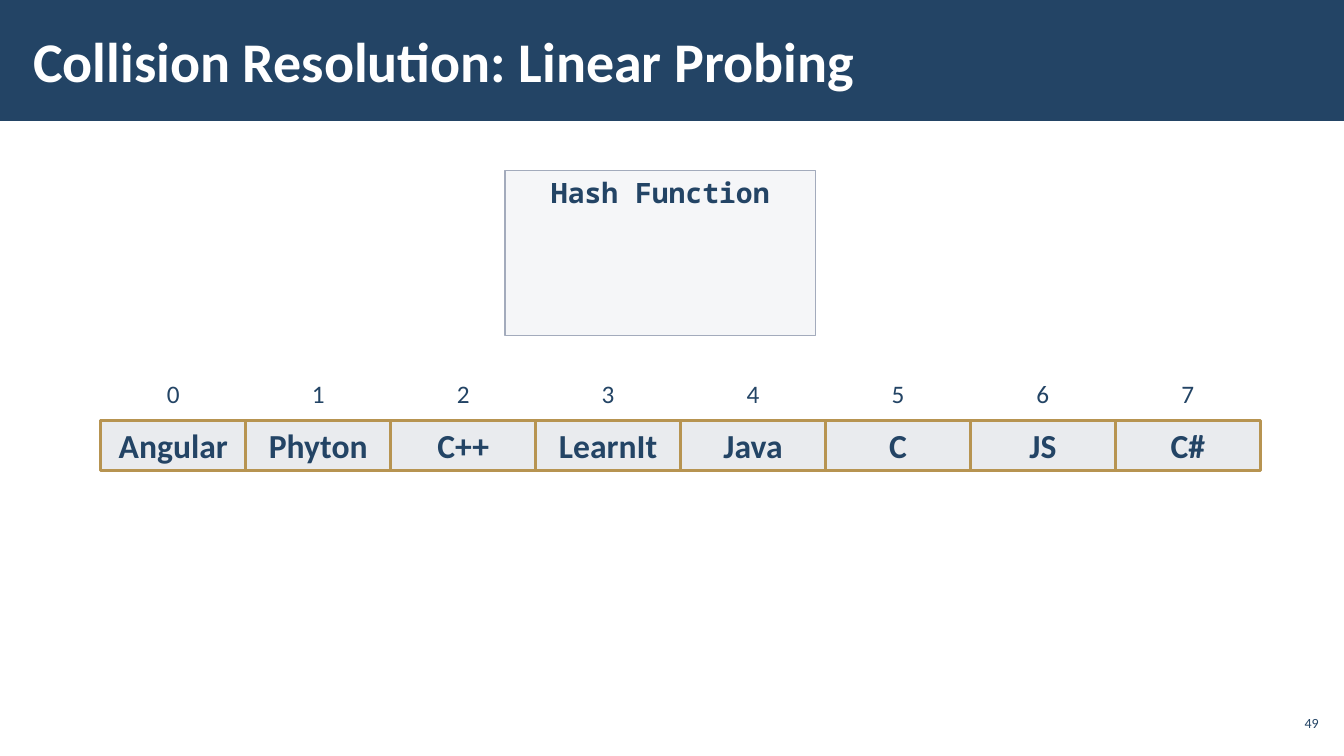
from dataclasses import dataclass

from lxml import etree
from pptx import Presentation
from pptx import util as u
from pptx.dml import color
from pptx.enum import shapes, text
from pptx.oxml import ns


@dataclass(frozen=True)
class Theme:
    navy: str = "234465"
    white: str = "FFFFFF"
    gold: str = "B79451"
    slot: str = "E9EBEE"
    panel: str = "C2C7D2"
    panel_line: str = "A3ABBC"
    body: str = "Calibri"
    mono: str = "Noto Sans Mono"
    title_size: int = 40
    slot_size: int = 24
    panel_size: int = 20
    index_size: int = 18
    number_size: int = 10


T = Theme()
LANGUAGES = ["Angular", "Phyton", "C++", "LearnIt", "Java", "C", "JS", "C#"]


def rgb(value):
    return color.RGBColor.from_string(value)


def inches(*lengths):
    return [u.Inches(length) for length in lengths]


def write(tf, content, size, ink=T.navy, font=T.body, bold=False,
          align=text.PP_ALIGN.CENTER):
    p = tf.paragraphs[0]
    p.alignment = align
    r = p.add_run()
    r.text = content
    r.font.size = u.Pt(size)
    r.font.name = font
    r.font.bold = bold
    r.font.color.rgb = rgb(ink)


def set_frame(tf, anchor=text.MSO_ANCHOR.MIDDLE, margins=(0.1, 0.05)):
    tf.word_wrap = True
    tf.auto_size = text.MSO_AUTO_SIZE.NONE
    tf.vertical_anchor = anchor
    side, edge = inches(*margins)
    tf.margin_left = tf.margin_right = side
    tf.margin_top = tf.margin_bottom = edge
    return tf


def add_box(parent, kind, box, fill, line=None, width=1):
    sp = parent.add_shape(kind, *inches(*box))
    sp.shadow.inherit = False
    sp.fill.solid()
    sp.fill.fore_color.rgb = rgb(fill)
    if line:
        sp.line.color.rgb = rgb(line)
        sp.line.width = u.Pt(width)
    else:
        sp.line.fill.background()
    return sp


def add_header(s, box, title):
    x, y, w, h = box
    band = add_box(s.shapes, shapes.MSO_SHAPE.RECTANGLE, box, T.navy)
    sp = s.shapes.title
    sp.element.addprevious(band.element)
    sp.left, sp.top, sp.width, sp.height = inches(x + 0.21, y + 0.11, 10.4, h - 0.23)
    write(set_frame(sp.text_frame, margins=(0.12, 0.04)), title, T.title_size,
          ink=T.white, bold=True, align=text.PP_ALIGN.LEFT)


def add_hash_function(s, box):
    x, y, w, h = box
    group = s.shapes.add_group_shape()
    panel = add_box(group.shapes, shapes.MSO_SHAPE.RECTANGLE, box, T.panel, T.panel_line)
    tint = panel.element.spPr.find(ns.qn("a:solidFill"))[0]
    etree.SubElement(tint, ns.qn("a:alpha"), val="15000")
    label = group.shapes.add_textbox(*inches(x, y, w, 0.44))
    write(set_frame(label.text_frame, anchor=text.MSO_ANCHOR.TOP), "Hash Function",
          T.panel_size, font=T.mono, bold=True)


def outline_cell(cell):
    tc_pr = cell._tc.get_or_add_tcPr()
    for position, side in enumerate(("lnL", "lnR", "lnT", "lnB")):
        ln = etree.Element(ns.qn(f"a:{side}"), w=str(u.Pt(1)))
        fill = etree.SubElement(ln, ns.qn("a:solidFill"))
        etree.SubElement(fill, ns.qn("a:srgbClr"), val=T.navy)
        tc_pr.insert(position, ln)


def add_index_table(s, box, count):
    table = s.shapes.add_table(2, count, *inches(*box)).table
    table.first_row = table.horz_banding = False
    for i in range(count):
        index, slot = table.cell(0, i), table.cell(1, i)
        index.fill.background()
        slot.fill.background()
        outline_cell(slot)
        index.vertical_anchor = text.MSO_ANCHOR.MIDDLE
        write(index.text_frame, str(i), T.index_size)


def add_hash_table(s, box, values):
    x, y, w, h = box
    add_index_table(s, box, len(values))
    slot_w, slot_h = w / len(values), h / 2
    for i, value in enumerate(values):
        place = (x + i * slot_w, y + slot_h, slot_w, slot_h)
        sp = add_box(s.shapes, shapes.MSO_SHAPE.FLOWCHART_PROCESS, place,
                     T.slot, T.gold, 2)
        write(set_frame(sp.text_frame), value, T.slot_size, bold=True)


def add_page_number(s, box, number):
    sp = s.shapes.add_textbox(*inches(*box))
    write(set_frame(sp.text_frame, margins=(0.04, 0.04)), number, T.number_size,
          align=text.PP_ALIGN.RIGHT)


def main():
    prs = Presentation()
    prs.slide_width, prs.slide_height = inches(13.33, 7.5)
    s = prs.slides.add_slide(prs.slide_layouts.get_by_name("Title Only"))
    add_header(s, (0, 0, 13.33, 1.2), "Collision Resolution: Linear Probing")
    add_hash_function(s, (5.01, 1.69, 3.08, 1.64))
    add_page_number(s, (12.65, 7, 0.47, 0.34), "49")
    add_hash_table(s, (1, 3.67, 11.5, 1), LANGUAGES)
    prs.save("out.pptx")


if __name__ == "__main__":
    main()
